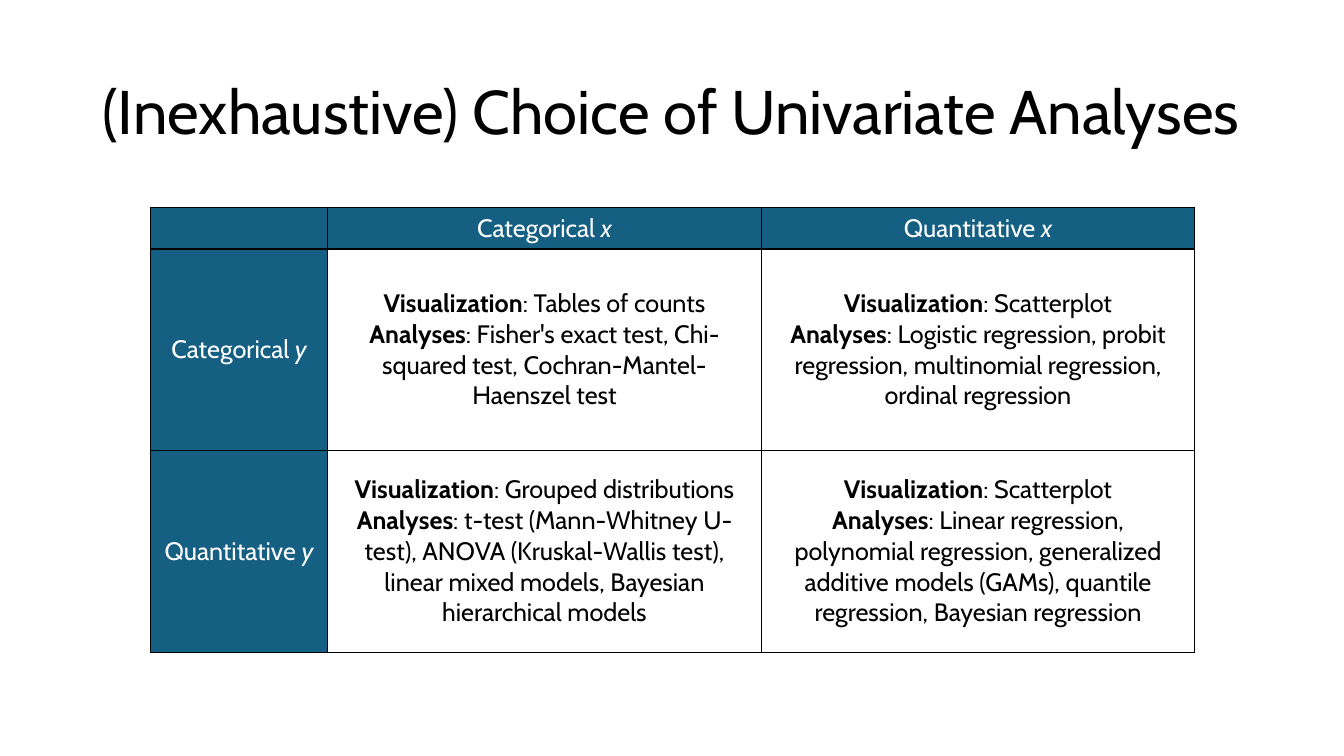
from lxml.etree import SubElement
from pptx import Presentation
from pptx.dml.color import RGBColor
from pptx.enum.text import MSO_ANCHOR as Anchor, PP_ALIGN as Align
from pptx.oxml.ns import qn
from pptx.util import Inches, Pt

COLORS = {"black": "000000", "white": "FFFFFF", "header": "156082"}
COLUMN_WIDTHS = [1.76, 4.3, 4.3]
ROW_HEIGHTS = [0.41, 2, 2]


class SlideBuilder:
    font = "Cabin"
    title_size = 44
    body_size = 18
    border_width = 1

    def __init__(self, slide):
        self.slide = slide

    def add_run(self, paragraph, text, size, color, bold=False, italic=False):
        run = paragraph.add_run()
        run.text = text
        run.font.name = self.font
        run.font.size = Pt(size)
        run.font.bold = bold
        run.font.italic = italic
        run.font.color.rgb = RGBColor.from_string(COLORS[color])

    def add_title(self, text, left, top, width, height):
        box = self.slide.shapes.add_textbox(
            Inches(left), Inches(top), Inches(width), Inches(height))
        frame = box.text_frame
        frame.word_wrap = True
        frame.vertical_anchor = Anchor.MIDDLE
        paragraph = frame.paragraphs[0]
        paragraph.line_spacing = 0.9
        self.add_run(paragraph, text, self.title_size, "black")

    def add_borders(self, cell):
        properties = cell._tc.get_or_add_tcPr()
        for side in ("lnL", "lnR", "lnT", "lnB"):
            line = SubElement(properties, qn(f"a:{side}"), w=str(Pt(self.border_width)))
            fill = SubElement(line, qn("a:solidFill"))
            SubElement(fill, qn("a:srgbClr"), val=COLORS["black"])

    def style_cell(self, cell, is_header):
        cell.vertical_anchor = Anchor.MIDDLE
        self.add_borders(cell)
        if is_header:
            cell.fill.solid()
            cell.fill.fore_color.rgb = RGBColor.from_string(COLORS["header"])
        else:
            cell.fill.background()

    def fill_header(self, cell, kind, variable):
        paragraph = cell.text_frame.paragraphs[0]
        paragraph.alignment = Align.CENTER
        self.add_run(paragraph, f"{kind} ", self.body_size, "white")
        self.add_run(paragraph, variable, self.body_size, "white", italic=True)

    def fill_methods(self, cell, visualization, analyses):
        frame = cell.text_frame
        entries = [("Visualization", visualization), ("Analyses", analyses)]
        for index, (label, text) in enumerate(entries):
            paragraph = frame.add_paragraph() if index else frame.paragraphs[0]
            paragraph.alignment = Align.CENTER
            self.add_run(paragraph, label, self.body_size, "black", bold=True)
            self.add_run(paragraph, f": {text}", self.body_size, "black")

    def add_analysis_table(self, kinds, methods, left, top):
        """Cross the kinds of y (rows) with the kinds of x (columns)."""
        table = self.slide.shapes.add_table(
            len(ROW_HEIGHTS), len(COLUMN_WIDTHS), Inches(left), Inches(top),
            Inches(sum(COLUMN_WIDTHS)), Inches(sum(ROW_HEIGHTS))).table
        for column, width in zip(table.columns, COLUMN_WIDTHS):
            column.width = Inches(width)
        for row, height in zip(table.rows, ROW_HEIGHTS):
            row.height = Inches(height)
        for row_index, row in enumerate(table.rows):
            for column_index, cell in enumerate(row.cells):
                self.style_cell(cell, row_index == 0 or column_index == 0)
        for index, kind in enumerate(kinds, start=1):
            self.fill_header(table.cell(0, index), kind, "x")
            self.fill_header(table.cell(index, 0), kind, "y")
        for row_index, row_methods in enumerate(methods, start=1):
            for column_index, entry in enumerate(row_methods, start=1):
                self.fill_methods(table.cell(row_index, column_index), *entry)


def main():
    presentation = Presentation()
    presentation.slide_width = Inches(13.33)
    presentation.slide_height = Inches(7.5)
    builder = SlideBuilder(presentation.slides.add_slide(presentation.slide_layouts[6]))

    builder.add_title("(Inexhaustive) Choice of Univariate Analyses", 0.92, 0.4, 12, 1.48)
    methods = [
        [
            ("Tables of counts",
             "Fisher's exact test, Chi-squared test, Cochran-Mantel-Haenszel test"),
            ("Scatterplot",
             "Logistic regression, probit regression, multinomial regression, "
             "ordinal regression"),
        ],
        [
            ("Grouped distributions",
             "t-test (Mann-Whitney U-test), ANOVA (Kruskal-Wallis test), "
             "linear mixed models, Bayesian hierarchical models"),
            ("Scatterplot",
             "Linear regression, polynomial regression, generalized additive models "
             "(GAMs), quantile regression, Bayesian regression"),
        ],
    ]
    builder.add_analysis_table(["Categorical", "Quantitative"], methods, 1.49, 2.06)
    presentation.save("out.pptx")


if __name__ == "__main__":
    main()
